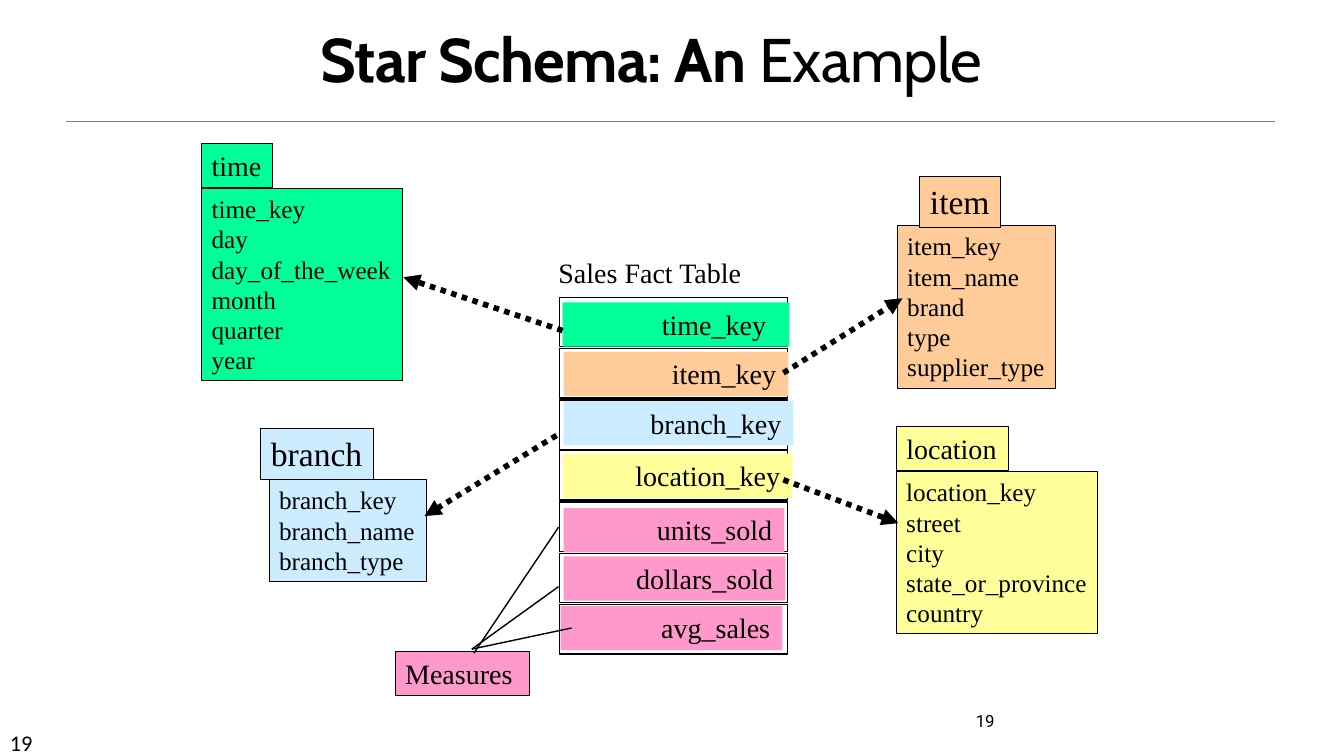
from lxml import etree
from pptx import Presentation
from pptx import util as u
from pptx.dml.color import RGBColor
from pptx.enum import dml, shapes, text
from pptx.oxml.ns import qn

PX = 9144  # EMU per px, 100 px to the inch
BLACK = RGBColor(0x00, 0x00, 0x00)
GREY = RGBColor(0x80, 0x80, 0x80)
GREEN = RGBColor(0x00, 0xFF, 0x99)
ORANGE = RGBColor(0xFF, 0xCC, 0x99)
BLUE = RGBColor(0xCC, 0xEC, 0xFF)
YELLOW = RGBColor(0xFF, 0xFF, 0x99)
PINK = RGBColor(0xFF, 0x99, 0xCC)
SERIF = "Times New Roman"
LEFT, CENTER, RIGHT = text.PP_ALIGN.LEFT, text.PP_ALIGN.CENTER, text.PP_ALIGN.RIGHT

# Dimension tables: heading box, heading size, heading alignment, fields box, fields
DIMENSIONS = [
    ("time", GREEN, (200, 142, 70, 44), 20, LEFT, (200, 187, 199, 191),
     ["time_key", "day", "day_of_the_week", "month", "quarter", "year"]),
    ("location", YELLOW, (889, 423, 111, 44), 20, LEFT, (889, 468, 200, 161),
     ["location_key", "street", "city", "state_or_province", "country"]),
    ("item", ORANGE, (912, 175, 80, 51), 24, CENTER, (890, 224, 157, 161),
     ["item_key", "item_name", "brand", "type", "supplier_type"]),
    ("branch", BLUE, (258, 425, 112, 51), 24, CENTER, (267, 476, 156, 101),
     ["branch_key", "branch_name", "branch_type"]),
]

# Fact rows: label, fill, offset of the colour band in its cell, band width, right inset
FACTS = [
    ("time_key", GREEN, 3, 5, 225, 23),
    ("item_key", ORANGE, 4, 3, 223, 12),
    ("branch_key", BLUE, 4, 1, 228, 12),
    ("location_key", YELLOW, 3, 3, 228, 12),
    ("units_sold", PINK, 4, 6, 219, 12),
    ("dollars_sold", PINK, 4, 3, 220, 12),
    ("avg_sales", PINK, 1, 1, 220, 12),
]
ROW_PITCH = 50.8

MEASURE_LINES = [(470, 648, 554, 523), (468, 644, 554, 582), (468, 644, 567, 623)]
KEY_ARROWS = [(552, 432, 421, 512), (558, 328, 400, 275),
              (777, 476, 891, 519), (777, 370, 895, 296)]


def px(*lengths):
    return [u.Emu(round(n * PX)) for n in lengths]


def write(tf, lines, size, font=SERIF, align=LEFT, right=10):
    tf.word_wrap = False
    tf.auto_size = text.MSO_AUTO_SIZE.NONE
    tf.vertical_anchor = text.MSO_ANCHOR.TOP
    tf.margin_left, tf.margin_top, tf.margin_right, tf.margin_bottom = px(10, 5, right, 5)
    for i, line in enumerate(lines):
        p = tf.add_paragraph() if i else tf.paragraphs[0]
        p.alignment = align
        r = p.add_run()
        r.text = line
        r.font.size, r.font.name = u.Pt(size), font
        r.font.color.rgb = BLACK


def add_label(s, box, line, size, font=SERIF):
    write(s.shapes.add_textbox(*px(*box)).text_frame, [line], size, font)


def add_box(s, box, fill=None, width=None):
    sp = s.shapes.add_shape(shapes.MSO_SHAPE.RECTANGLE, *px(*box))
    sp.shadow.inherit = False
    if fill is None:
        sp.fill.background()
    else:
        sp.fill.solid()
        sp.fill.fore_color.rgb = fill
    if width is None:
        sp.line.fill.background()
    else:
        sp.line.color.rgb, sp.line.width = BLACK, u.Pt(width)
    return sp


def add_line(s, ends, width, color=BLACK, arrow=False):
    line = s.shapes.add_connector(shapes.MSO_CONNECTOR.STRAIGHT, *px(*ends))
    line.line.color.rgb, line.line.width = color, u.Pt(width)
    if arrow:
        line.line.dash_style = dml.MSO_LINE.ROUND_DOT
        etree.SubElement(line.line._ln, qn("a:tailEnd"), type="triangle")
    etree.SubElement(line._element.spPr, qn("a:effectLst"))


def add_title(s, box):
    title = s.shapes.title
    title.left, title.top, title.width, title.height = px(*box)
    tf = title.text_frame
    tf.word_wrap = True
    tf.auto_size = text.MSO_AUTO_SIZE.NONE
    tf.vertical_anchor = text.MSO_ANCHOR.BOTTOM
    p = tf.paragraphs[0]
    p.alignment, p.line_spacing = CENTER, 0.85
    for words, bold in (("Star Schema: An ", True), ("Example", False)):
        r = p.add_run()
        r.text = words
        r.font.name, r.font.size, r.font.bold = "Cabin", u.Pt(44), bold
        r.font.color.rgb = BLACK
        r._r.get_or_add_rPr().set("spc", "-50")


def add_dimension(s, name, fill, head_box, size, align, fields_box, fields):
    write(add_box(s, fields_box, fill, 0.75).text_frame, fields, 18)
    write(add_box(s, head_box, fill, 0.75).text_frame, [name], size, align=align)


def add_fact_table(s, left, top, width, height):
    add_label(s, (left - 11, top - 46, 203, 44), "Sales Fact Table", 20)
    for i, (label, fill, dx, dy, band, right) in enumerate(FACTS):
        y = round(top + i * ROW_PITCH)
        add_box(s, (left, y, width, height), width=1)
        sp = add_box(s, (left + dx, y + dy, band, 44), fill)
        write(sp.text_frame, [label], 20, align=RIGHT, right=right)


def main():
    prs = Presentation()
    prs.slide_width, prs.slide_height = px(1333, 750)
    s = prs.slides.add_slide(prs.slide_layouts[5])

    # Heading and slide numbers
    add_line(s, (65, 120, 1265, 120), 0.5, GREY)
    add_title(s, (221, 15, 850, 84))
    add_label(s, (0, 718, 117, 30), "19", 16, "Calibri")
    add_label(s, (958, 700, 208, 50), "19", 12, "Roboto")

    # Fact table and its measures
    add_fact_table(s, 555, 295, 226, 49)
    write(add_box(s, (392, 646, 133, 44), PINK, 0.75).text_frame, ["Measures"], 20)
    for ends in MEASURE_LINES:
        add_line(s, ends, 1)

    # Dimension tables and the keys that point to them
    for dimension in DIMENSIONS:
        add_dimension(s, *dimension)
    for ends in KEY_ARROWS:
        add_line(s, ends, 4, arrow=True)

    prs.save("out.pptx")


if __name__ == "__main__":
    main()
